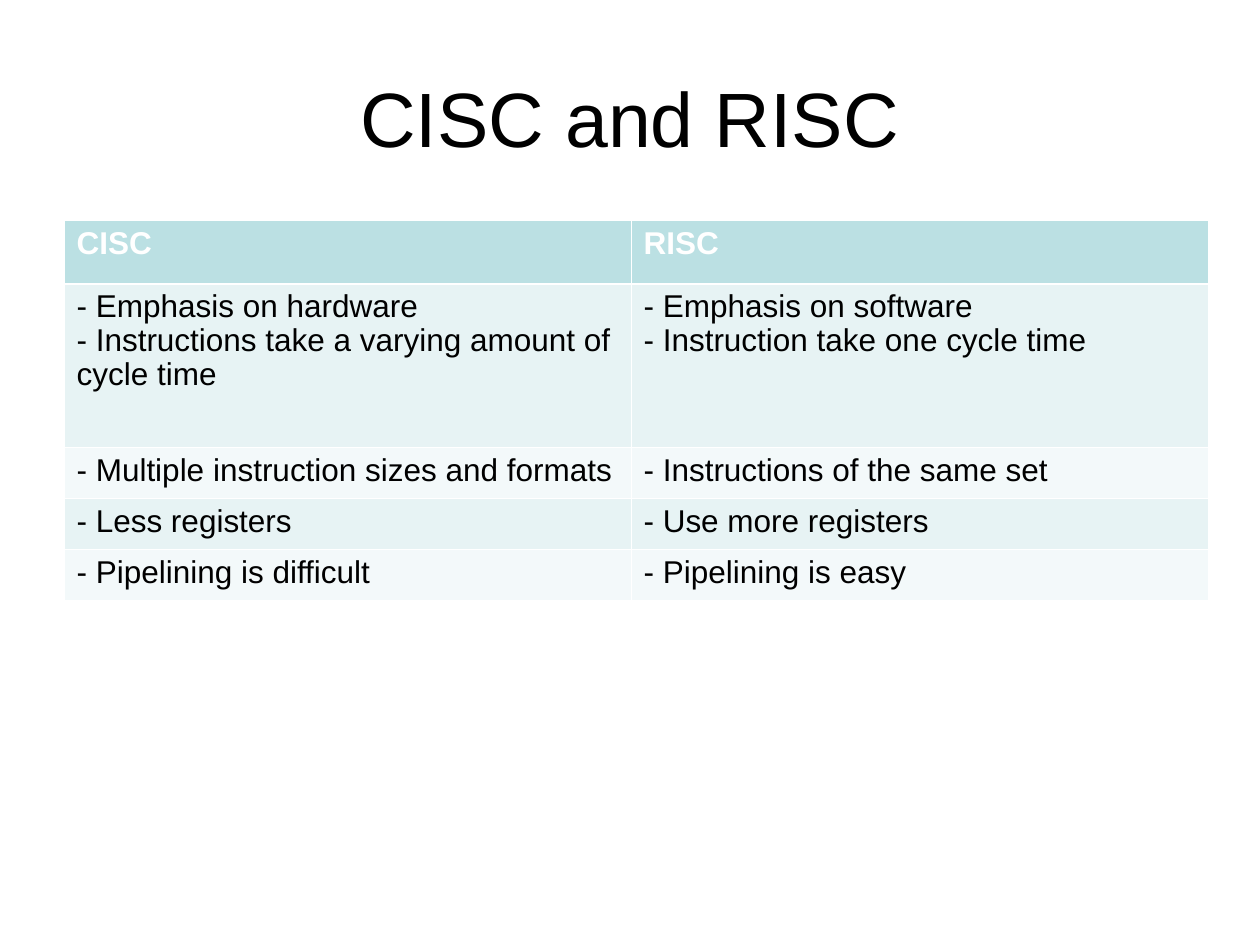
from dataclasses import dataclass

from lxml import etree
from pptx import Presentation
from pptx.dml.color import RGBColor
from pptx.enum.text import MSO_ANCHOR, PP_ALIGN
from pptx.oxml.ns import qn
from pptx.util import Cm, Pt

CENTER, LEFT = PP_ALIGN.CENTER, PP_ALIGN.LEFT
MIDDLE, TOP = MSO_ANCHOR.MIDDLE, MSO_ANCHOR.TOP


@dataclass(frozen=True)
class Theme:
    font: str = "Arial"
    title_size: float = 44
    cell_size: float = 18
    line_spacing: float = 0.97
    text: str = "000000"
    white: str = "FFFFFF"
    header: str = "BBE0E3"
    bands: tuple[str, str] = ("E7F3F4", "F3F9FA")
    thin: float = 0.45
    thick: float = 1.47


@dataclass(frozen=True)
class Comparison:
    cisc: str
    risc: str
    height: float


THEME = Theme()
COLUMN_WIDTHS = (11.43, 11.63)
COMPARISONS = (
    Comparison("CISC", "RISC", 1.27),
    Comparison(
        "- Emphasis on hardware\n- Instructions take a varying amount of cycle time",
        "- Emphasis on software\n- Instruction take one cycle time",
        3.3,
    ),
    Comparison("- Multiple instruction sizes and formats",
               "- Instructions of the same set", 1.03),
    Comparison("- Less registers", "- Use more registers", 1.03),
    Comparison("- Pipelining is difficult", "- Pipelining is easy", 1.03),
)


def format_text(frame, size: float, color: str, bold: bool, align) -> None:
    font_format = {"name": THEME.font, "size": Pt(size), "bold": bold}
    for paragraph in frame.paragraphs:
        paragraph.alignment = align
        for run in paragraph.runs:
            for attribute, value in font_format.items():
                setattr(run.font, attribute, value)
            run.font.color.rgb = RGBColor.from_string(color)


def set_borders(cell, widths: dict[str, float]) -> None:
    """Insert the border lines ahead of the cell fill."""
    properties = cell._tc.get_or_add_tcPr()
    for position, (side, width) in enumerate(widths.items()):
        line = etree.Element(qn(f"a:{side}"), w=str(Pt(width)))
        fill = etree.SubElement(line, qn("a:solidFill"))
        etree.SubElement(fill, qn("a:srgbClr"), val=THEME.white)
        properties.insert(position, line)


def fill_cell(cell, content: str, row: int) -> None:
    is_header = row == 0
    cell.text = content
    cell.vertical_anchor = TOP
    cell.fill.solid()
    fill = THEME.header if is_header else THEME.bands[(row - 1) % 2]
    cell.fill.fore_color.rgb = RGBColor.from_string(fill)
    color = THEME.white if is_header else THEME.text
    format_text(cell.text_frame, THEME.cell_size, color, is_header, LEFT)
    for paragraph in cell.text_frame.paragraphs:
        paragraph.line_spacing = THEME.line_spacing
    # The rule between the header and the first band is heavier
    set_borders(cell, {
        "lnL": THEME.thin,
        "lnR": THEME.thin,
        "lnT": THEME.thick if row == 1 else THEME.thin,
        "lnB": THEME.thick if is_header else THEME.thin,
    })


def add_title(slide, wording: str) -> None:
    title = slide.shapes.title
    place = {"left": Cm(1.27), "top": Cm(0.76),
             "width": Cm(22.86), "height": Cm(3.18)}
    for attribute, value in place.items():
        setattr(title, attribute, value)
    title.text_frame.text = wording
    title.text_frame.vertical_anchor = MIDDLE
    format_text(title.text_frame, THEME.title_size, THEME.text, False, CENTER)


def add_comparison_table(slide) -> None:
    table = slide.shapes.add_table(
        len(COMPARISONS), len(COLUMN_WIDTHS), Cm(1.29), Cm(4.45),
        Cm(sum(COLUMN_WIDTHS)), Cm(sum(item.height for item in COMPARISONS)),
    ).table
    for column, width in zip(table.columns, COLUMN_WIDTHS):
        column.width = Cm(width)
    for row, item in enumerate(COMPARISONS):
        table.rows[row].height = Cm(item.height)
        for column, content in enumerate((item.cisc, item.risc)):
            fill_cell(table.cell(row, column), content, row)


def main() -> None:
    deck = Presentation()
    deck.slide_width, deck.slide_height = Cm(25.4), Cm(19.05)
    slide = deck.slides.add_slide(deck.slide_layouts[5])  # title only
    add_title(slide, "CISC and RISC")
    add_comparison_table(slide)
    deck.save("out.pptx")


if __name__ == "__main__":
    main()
